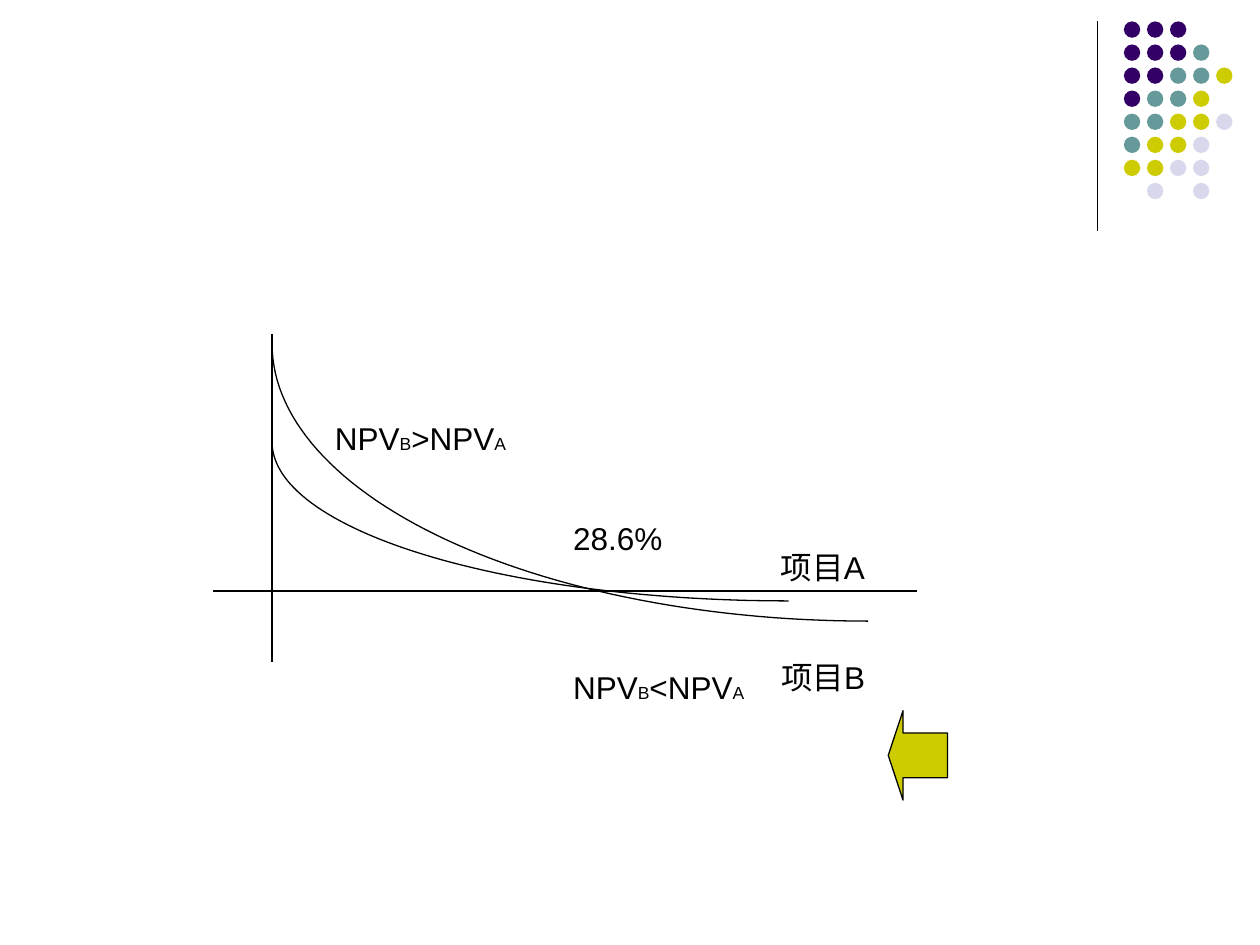
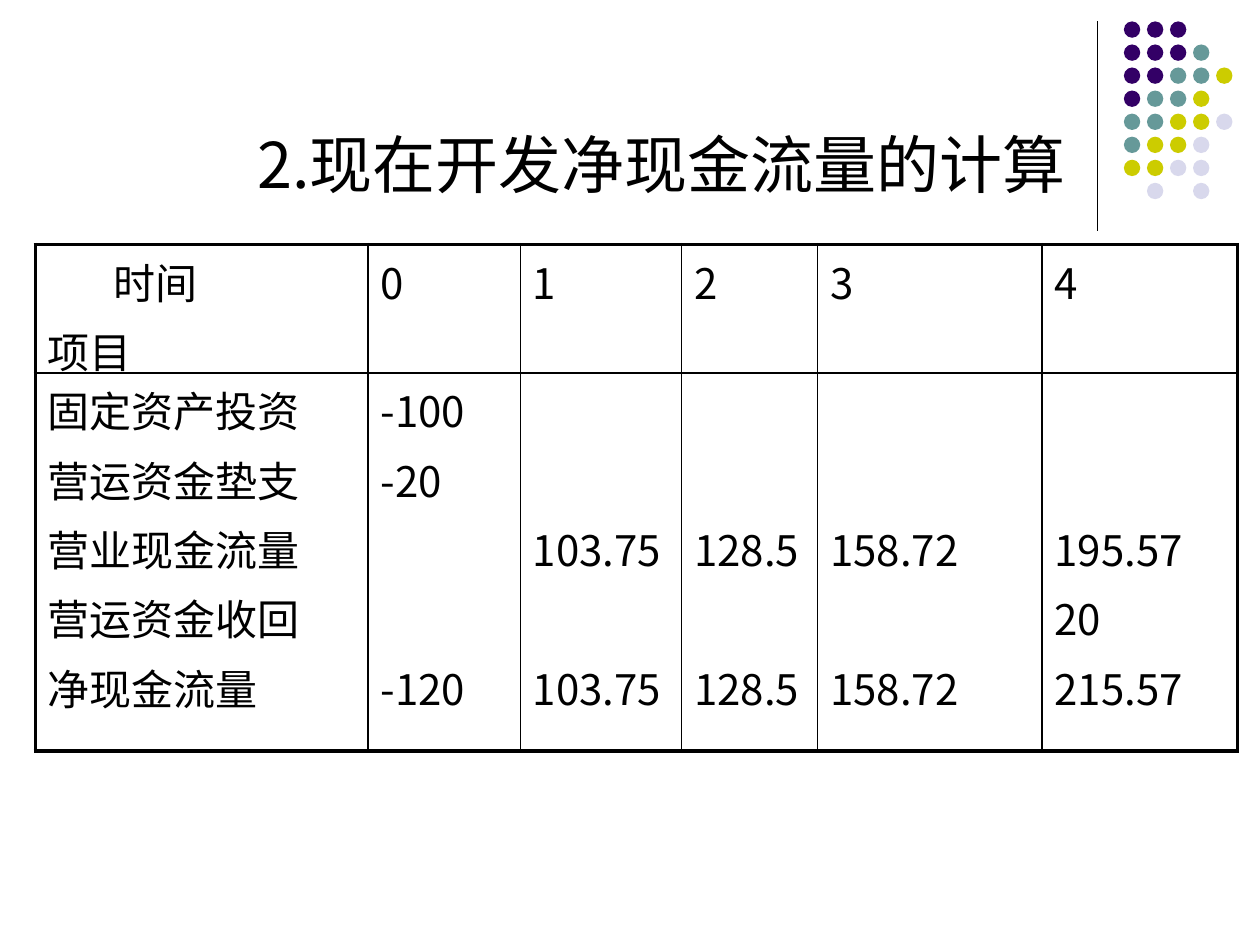
from dataclasses import dataclass
from math import cos, pi, sin

from lxml import etree
from pptx import Presentation
from pptx import util as u
from pptx.dml.color import RGBColor
from pptx.enum import shapes, text
from pptx.oxml import ns

BLACK = RGBColor(0x00, 0x00, 0x00)
WHITE = RGBColor(0xFF, 0xFF, 0xFF)
PURPLE = RGBColor(0x33, 0x00, 0x66)
TEAL = RGBColor(0x66, 0x99, 0x99)
OLIVE = RGBColor(0xCC, 0xCC, 0x00)
LILAC = RGBColor(0xD8, 0xD8, 0xEC)

LATIN_FONT = "Arial"
CJK_FONT = "Noto Sans CJK SC"
THIN = u.Pt(0.75)

# Corner dots: one letter per dot, a space where there is none
DOT_COLORS = {"P": PURPLE, "T": TEAL, "O": OLIVE, "L": LILAC}
DOT_ROWS = ["PPP", "PPPT", "PPTTO", "PTTO", "TTOOL", "TOOL", "OOLL", " L L"]
DOT_LEFT, DOT_TOP, DOT_PITCH, DOT_SIZE = 8.92, 0.17, 0.183, 0.13


@dataclass(frozen=True)
class Line:
    x1: float
    y1: float
    x2: float
    y2: float


@dataclass(frozen=True)
class Curve:
    """Quarter ellipse falling from the top left to the bottom right."""
    left: float
    top: float
    width: float
    height: float


@dataclass(frozen=True)
class Label:
    left: float
    top: float
    width: float
    spans: tuple[tuple[str, int], ...]


def npv_spans(sign: str) -> tuple[tuple[str, int], ...]:
    return ("NPV", 18), ("B", 10), (f"{sign}NPV", 18), ("A", 10)


DIVIDER = Line(8.71, 0.17, 8.71, 1.83)
AXES = [Line(1.69, 4.69, 7.28, 4.69), Line(2.16, 2.65, 2.16, 5.25)]
CURVES = [Curve(2.16, 2.73, 4.73, 2.2), Curve(2.16, 3.51, 4.1, 1.26)]
LABELS = [
    Label(6.1, 4.3, 1.34, (("项目A", 18),)),
    Label(6.1, 5.17, 1.42, (("项目B", 18),)),
    Label(4.45, 4.07, 1.26, (("28.6%", 18),)),
    Label(2.56, 3.28, 2.44, npv_spans(">")),
    Label(4.45, 5.25, 2.44, npv_spans("<")),
]

COLUMN_WIDTHS = [2.64, 1.21, 1.28, 1.08, 1.78, 1.55]
ROW_HEIGHTS = [1.02, 3]
# Each cell lists its lines; None leaves a line free
CASH_FLOWS = [
    [["时间", "项目"], ["0"], ["1"], ["2"], ["3"], ["4"]],
    [
        ["固定资产投资", "营运资金垫支", "营业现金流量", "营运资金收回", "净现金流量"],
        ["-100", "-20", None, None, "-120"],
        [None, None, "103.75", None, "103.75"],
        [None, None, "128.5", None, "128.5"],
        [None, None, "158.72", None, "158.72"],
        [None, None, "195.57", "20", "215.57"],
    ],
]
LINE_GAP = 4.8     # points between table lines
LINE_PITCH = 39.6  # points from one table line to the next


def style_font(font, name: str, size: int | None = None) -> None:
    font.name = name
    font.color.rgb = BLACK
    if size:
        font.size = u.Pt(size)


def add_line(page, line: Line) -> None:
    connector = page.shapes.add_connector(
        shapes.MSO_CONNECTOR.STRAIGHT,
        *(u.Inches(value) for value in (line.x1, line.y1, line.x2, line.y2)))
    connector.line.color.rgb = BLACK
    connector.line.width = THIN
    etree.SubElement(connector._element.spPr, ns.qn("a:effectLst"))


def add_page(deck):
    """Blank page with the divider and the corner dots."""
    page = deck.slides.add_slide(deck.slide_layouts[6])
    add_line(page, DIVIDER)
    group = page.shapes.add_group_shape()
    for row, pattern in enumerate(DOT_ROWS):
        for column, letter in enumerate(pattern):
            if letter == " ":
                continue
            dot = group.shapes.add_shape(
                shapes.MSO_SHAPE.OVAL,
                u.Inches(DOT_LEFT + column * DOT_PITCH),
                u.Inches(DOT_TOP + row * DOT_PITCH),
                u.Inches(DOT_SIZE), u.Inches(DOT_SIZE))
            dot.shadow.inherit = False
            dot.fill.solid()
            dot.fill.fore_color.rgb = DOT_COLORS[letter]
            dot.line.fill.background()
    return page


def add_curve(page, curve: Curve, steps: int = 60) -> None:
    angles = [pi / 2 * step / steps for step in range(steps + 1)]
    points = [(u.Inches(curve.left + curve.width * (1 - cos(angle))),
               u.Inches(curve.top + curve.height * sin(angle)))
              for angle in angles]
    builder = page.shapes.build_freeform(*points[0])
    builder.add_line_segments(points[1:], close=False)
    shape = builder.convert_to_shape()
    shape.shadow.inherit = False
    shape.fill.background()
    shape.line.color.rgb = BLACK
    shape.line.width = THIN


def add_label(page, label: Label) -> None:
    box = page.shapes.add_textbox(
        u.Inches(label.left), u.Inches(label.top),
        u.Inches(label.width), u.Inches(0.4))
    box.text_frame.word_wrap = True
    para = box.text_frame.paragraphs[0]
    style_font(para.font, LATIN_FONT)
    for words, size in label.spans:
        span = para.add_run()
        span.text = words
        span.font.size = u.Pt(size)


def add_title(page, words: str) -> None:
    box = page.shapes.add_textbox(
        u.Inches(1), u.Inches(0.67), u.Inches(8.5), u.Inches(1.25))
    frame = box.text_frame
    frame.word_wrap = True
    frame.vertical_anchor = text.MSO_ANCHOR.MIDDLE
    para = frame.paragraphs[0]
    para.text = words
    para.alignment = text.PP_ALIGN.CENTER
    style_font(para.font, CJK_FONT, 36)


def set_border(cell, side: str, points: float) -> None:
    border = etree.SubElement(cell._tc.get_or_add_tcPr(), ns.qn(f"a:ln{side}"),
                              w=str(u.Pt(points)))
    fill = etree.SubElement(border, ns.qn("a:solidFill"))
    etree.SubElement(fill, ns.qn("a:srgbClr"), val=str(BLACK))


def fill_cell(cell, lines: list[str | None]) -> None:
    """Write the lines; free lines become cell margin or paragraph spacing."""
    frame = cell.text_frame
    free, started = 0, False
    for words in lines:
        if words is None:
            free += 1
            continue
        skipped = free * LINE_PITCH
        if started:
            para = frame.add_paragraph()
            para.space_before = u.Pt(LINE_GAP + skipped)
        else:
            para = frame.paragraphs[0]
            cell.margin_top = u.Inches(0.05) + u.Pt(skipped)
        para.text = words
        style_font(para.font, CJK_FONT, 24)
        free, started = 0, True


def add_cash_flow_table(page) -> None:
    table = page.shapes.add_table(
        len(ROW_HEIGHTS), len(COLUMN_WIDTHS), u.Inches(0.28), u.Inches(1.94),
        u.Inches(sum(COLUMN_WIDTHS)), u.Inches(sum(ROW_HEIGHTS))).table
    table.first_row = table.horz_banding = False
    for column, width in zip(table.columns, COLUMN_WIDTHS):
        column.width = u.Inches(width)
    for row, height in zip(table.rows, ROW_HEIGHTS):
        row.height = u.Inches(height)

    last_row, last_column = len(ROW_HEIGHTS) - 1, len(COLUMN_WIDTHS) - 1
    for r, row in enumerate(CASH_FLOWS):
        for c, lines in enumerate(row):
            cell = table.cell(r, c)
            fill_cell(cell, lines)
            outer = {"L": c == 0, "R": c == last_column,
                     "T": r == 0, "B": r == last_row}
            for side, is_outer in outer.items():
                set_border(cell, side, 2.25 if is_outer else 1)
            cell.fill.solid()
            cell.fill.fore_color.rgb = WHITE

    # The time heading stands to the right of the item heading
    heading = table.cell(0, 0).text_frame.paragraphs[0]
    heading._p.get_or_add_pPr().set("marL", str(u.Inches(0.52)))


def add_npv_page(deck) -> None:
    page = add_page(deck)
    for axis in AXES:
        add_line(page, axis)
    for curve in CURVES:
        add_curve(page, curve)
    for label in LABELS:
        add_label(page, label)
    arrow = page.shapes.add_shape(
        shapes.MSO_SHAPE.LEFT_ARROW, u.Inches(7.05), u.Inches(5.64),
        u.Inches(0.47), u.Inches(0.71))
    arrow.adjustments[0], arrow.adjustments[1] = 0.5, 0.25
    arrow.shadow.inherit = False
    arrow.fill.solid()
    arrow.fill.fore_color.rgb = OLIVE
    arrow.line.color.rgb = BLACK
    arrow.line.width = THIN


def add_cash_flow_page(deck) -> None:
    page = add_page(deck)
    add_title(page, "2.现在开发净现金流量的计算")
    add_cash_flow_table(page)


def main() -> None:
    deck = Presentation()
    deck.slide_width, deck.slide_height = u.Inches(10), u.Inches(7.5)
    add_npv_page(deck)
    add_cash_flow_page(deck)
    deck.save("out.pptx")


if __name__ == "__main__":
    main()
